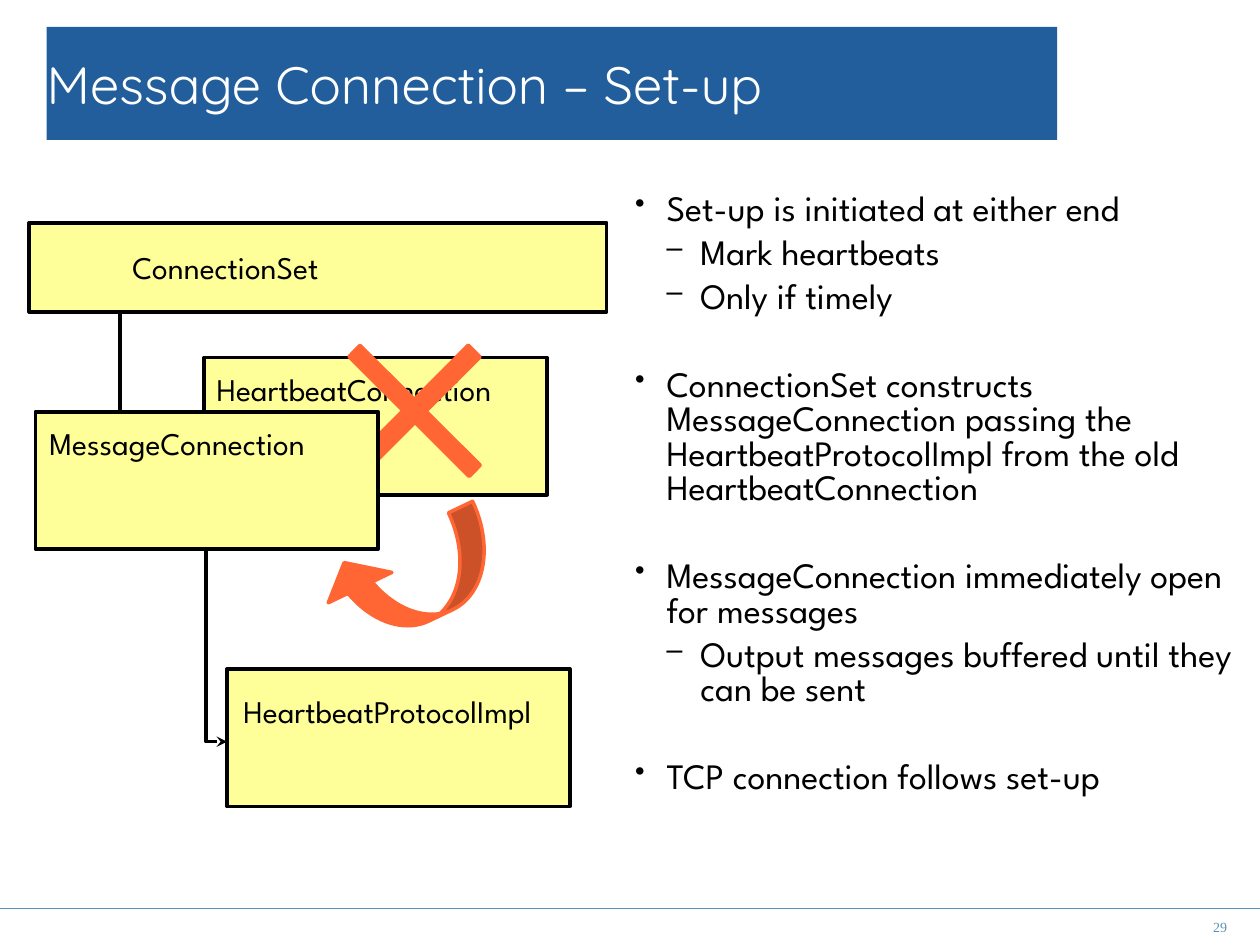
from lxml import etree
from pptx import Presentation
from pptx.dml.color import RGBColor
from pptx.enum import shapes, text
from pptx.oxml.ns import qn
from pptx.util import Pt

BLACK = RGBColor(0x00, 0x00, 0x00)
WHITE = RGBColor(0xFF, 0xFF, 0xFF)
YELLOW = RGBColor(0xFF, 0xFF, 0x99)
ORANGE = RGBColor(0xFF, 0x66, 0x33)
TITLE_BLUE = RGBColor(0x21, 0x5E, 0x9B)
FOOTER_BLUE = RGBColor(0x5A, 0x93, 0xB6)
BODY_FONT = "League Spartan"
GAP = 28  # space before a new group of points

# (level, wording, space before)
POINTS = [
    (0, "Set-up is initiated at either end", 0),
    (1, "Mark heartbeats", 2.8),
    (1, "Only if timely", 2.8),
    (0, "ConnectionSet constructs MessageConnection passing the "
        "HeartbeatProtocolImpl from the old HeartbeatConnection", GAP),
    (0, "MessageConnection immediately open for messages", GAP),
    (1, "Output messages buffered until they can be sent", 2.8),
    (0, "TCP connection follows set-up", GAP),
]
# Per level: bullet, left margin, hanging indent
LEVELS = [("•", 18, -18), ("–", 37.4, -19.4)]


def style_font(paragraph, name, size, color):
    paragraph.font.name = name
    paragraph.font.size = Pt(size)
    paragraph.font.color.rgb = color


def set_insets(frame, left=0, top=0, right=0, bottom=0):
    frame.margin_left, frame.margin_top = Pt(left), Pt(top)
    frame.margin_right, frame.margin_bottom = Pt(right), Pt(bottom)


def add_solid(slide, kind, box, fill, line):
    solid = slide.shapes.add_shape(kind, *map(Pt, box))
    solid.shadow.inherit = False
    solid.fill.solid()
    solid.fill.fore_color.rgb = fill
    solid.line.color.rgb = line
    solid.line.width = Pt(2)
    return solid


def add_class_box(slide, box, name, inset_left, inset_top):
    class_box = add_solid(slide, shapes.MSO_SHAPE.RECTANGLE, box, YELLOW, BLACK)
    frame = class_box.text_frame
    frame.vertical_anchor = text.MSO_ANCHOR.TOP
    set_insets(frame, inset_left, inset_top)
    label = frame.paragraphs[0]
    label.text = name
    label.alignment = text.PP_ALIGN.LEFT
    style_font(label, BODY_FONT, 18, BLACK)


def add_line(slide, ends, color, width, kind=shapes.MSO_CONNECTOR.STRAIGHT):
    line = slide.shapes.add_connector(kind, *map(Pt, ends))
    line.line.color.rgb = color
    line.line.width = Pt(width)
    etree.SubElement(line._element.spPr, qn("a:effectLst"))
    return line


def add_elbow_arrow(slide, start_x, start_y, end_x, end_y):
    """Runs straight down, then right into its target."""
    run, drop = end_x - start_x, end_y - start_y
    mid_x, mid_y = (start_x + end_x) / 2, (start_y + end_y) / 2
    ends = (mid_x - drop / 2, mid_y - run / 2, mid_x + drop / 2, mid_y + run / 2)
    elbow = add_line(slide, ends, BLACK, 2, shapes.MSO_CONNECTOR.ELBOW)
    properties = elbow._element.spPr
    frame = properties.find(qn("a:xfrm"))
    frame.set("rot", str(270 * 60000))
    frame.set("flipH", "1")
    guides = properties.find(qn("a:prstGeom")).get_or_add_avLst()
    etree.SubElement(guides, qn("a:gd"), name="adj1", fmla="val 100000")
    etree.SubElement(elbow.line._get_or_add_ln(), qn("a:tailEnd"), type="stealth")


def build_title(slide, box):
    title = slide.shapes.title
    title.left, title.top, title.width, title.height = map(Pt, box)
    title.fill.solid()
    title.fill.fore_color.rgb = TITLE_BLUE
    frame = title.text_frame
    frame.vertical_anchor = text.MSO_ANCHOR.MIDDLE
    set_insets(frame)
    heading = frame.paragraphs[0]
    heading.text = "Message Connection – Set-up"
    heading.alignment = text.PP_ALIGN.LEFT
    style_font(heading, "Quicksand", 30, WHITE)


def build_diagram(slide, box):
    left, top = box[:2]

    def place(x, y, width, height):
        return left + x, top + y, width, height

    class_size = (196, 78.5)
    # Old connection, crossed out
    add_class_box(slide, place(100, 77, *class_size), "HeartbeatConnection", 7.2, 7.2)
    cross = add_solid(slide, shapes.MSO_SHAPE.CROSS, place(172, 59, 96.5, 97),
                      ORANGE, ORANGE)
    cross.adjustments[0] = 0.453
    cross.rotation = 314.9

    # Protocol and new connection
    add_class_box(slide, place(113, 255, *class_size), "HeartbeatProtocolImpl", 9.4, 13)
    add_class_box(slide, place(3.5, 108, *class_size), "MessageConnection", 8, 7.2)
    add_elbow_arrow(slide, left + 101, top + 187, left + 113, top + 296.5)
    add_line(slide, (left + 52, top + 51, left + 52, top + 108), BLACK, 2)

    # Hand-over from old to new connection
    hand_over = add_solid(slide, shapes.MSO_SHAPE.CURVED_DOWN_ARROW,
                          place(167.8, 178.5, 101.5, 51), ORANGE, ORANGE)
    for index, value in enumerate((0.3, 0.79, 0.33)):
        hand_over.adjustments[index] = value
    hand_over.rotation = 154.5

    # Owner of all connections
    add_class_box(slide, place(0, 0, 330, 51), "ConnectionSet", 59, 14.4)


def build_points(slide, box):
    frame = slide.shapes.add_textbox(*map(Pt, box)).text_frame
    frame.word_wrap = True
    set_insets(frame, top=10.8)
    for index, (level, wording, before) in enumerate(POINTS):
        point = frame.add_paragraph() if index else frame.paragraphs[0]
        point.text = wording
        point.level = level
        point.line_spacing = 0.8
        point.space_before, point.space_after = Pt(before), Pt(2.8)
        bullet, margin, indent = LEVELS[level]
        properties = point._p.get_or_add_pPr()
        properties.set("marL", str(Pt(margin)))
        properties.set("indent", str(Pt(indent)))
        etree.SubElement(properties, qn("a:buSzPct"), val="80000")
        etree.SubElement(properties, qn("a:buChar"), char=bullet)
        style_font(point, BODY_FONT, 20.4, BLACK)


def build_footer(slide, box):
    left, top, width, _ = box
    add_line(slide, (left, top, left + width, top), FOOTER_BLUE, 0.75)
    number_box = slide.shapes.add_textbox(
        Pt(left + width - 50.4), Pt(top + 5), Pt(31.7), Pt(10.8))
    frame = number_box.text_frame
    frame.word_wrap = True
    frame.vertical_anchor = text.MSO_ANCHOR.MIDDLE
    set_insets(frame)
    number = frame.paragraphs[0]
    number.text = "29"
    number.alignment = text.PP_ALIGN.RIGHT
    style_font(number, "Times New Roman", 8, FOOTER_BLUE)


def main():
    deck = Presentation()
    deck.slide_width, deck.slide_height = Pt(720), Pt(540)
    slide = deck.slides.add_slide(deck.slide_layouts[5])
    build_title(slide, (26.7, 15.3, 577.4, 64.6))
    build_diagram(slide, (16.7, 127.3, 330, 333))
    build_points(slide, (362.9, 100, 347.8, 414.7))
    build_footer(slide, (0, 519, 720, 21))
    deck.save("out.pptx")


if __name__ == "__main__":
    main()
